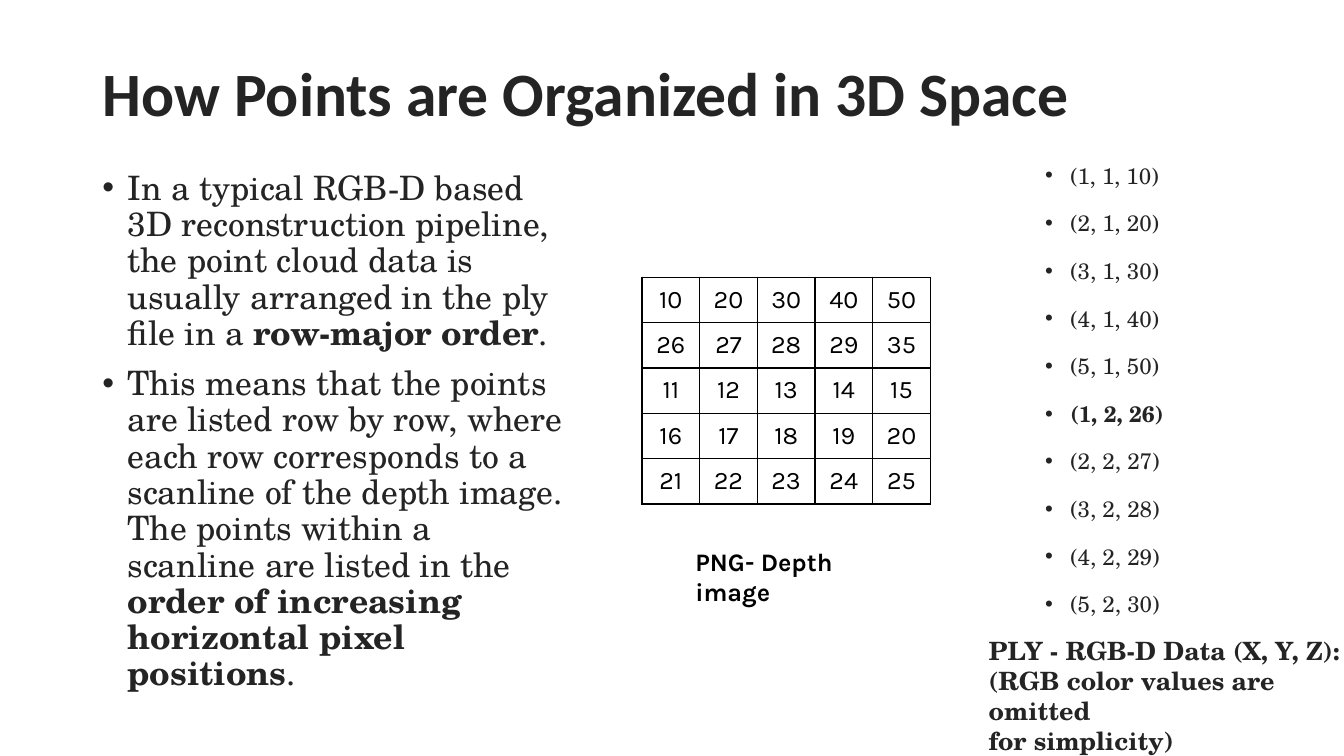
from lxml.etree import SubElement
from pptx import Presentation
from pptx.dml.color import RGBColor
from pptx.enum.text import MSO_ANCHOR as Anchor, PP_ALIGN as Align
from pptx.oxml.ns import qn
from pptx.util import Pt

COLORS = {"ink": "242424", "black": "000000"}
HEAD, SERIF, SANS = "Calibri", "TeX Gyre Schola", "Karla"

ORDER_NOTES = [
    [("In a typical RGB-D based 3D reconstruction pipeline, the point cloud data "
      "is usually arranged in the ply file in a ", False),
     ("row-major order", True), (".", False)],
    [("This means that the points are listed row by row, where each row "
      "corresponds to a scanline of the depth image. The points within a "
      "scanline are listed in the ", False),
     ("order of increasing horizontal pixel positions", True), (".", False)],
]
DEPTHS = [
    [10, 20, 30, 40, 50],
    [26, 27, 28, 29, 35],
    [11, 12, 13, 14, 15],
    [16, 17, 18, 19, 20],
    [21, 22, 23, 24, 25],
]
POINTS = ["(1, 1, 10)", "(2, 1, 20)", "(3, 1, 30)", "(4, 1, 40)", "(5, 1, 50)",
          "(1, 2, 26)", "(2, 2, 27)", "(3, 2, 28)", "(4, 2, 29)", "(5, 2, 30)"]
ROW_START = "(1, 2, 26)"
PLY_CAPTION = ["PLY - RGB-D Data (X, Y, Z):", "(RGB color values are omitted",
               "for simplicity)"]


def style(span, face, size, color, bold=False):
    span.font.name = face
    span.font.size = Pt(size)
    span.font.bold = bold
    span.font.color.rgb = RGBColor.from_string(COLORS[color])


def add_bullet(para):
    props = para._p.get_or_add_pPr()
    props.set("marL", str(Pt(18)))
    props.set("indent", str(-Pt(18)))
    SubElement(props, qn("a:buFont")).set("typeface", "Arial")
    SubElement(props, qn("a:buChar")).set("char", "•")


def add_text(page, frame, paragraphs, face, size, color, bullets=False, spacing=None):
    box = page.shapes.add_textbox(*map(Pt, frame))
    text = box.text_frame
    text.word_wrap = True
    for index, spans in enumerate(paragraphs):
        para = text.add_paragraph() if index else text.paragraphs[0]
        if bullets:
            add_bullet(para)
            if index:
                para.space_before = Pt(10)
        if spacing:
            para.line_spacing = spacing
        for words, bold in spans:
            span = para.add_run()
            span.text = words
            style(span, face, size, color, bold)


def set_title(page, words):
    title = page.shapes.title
    title.left, title.top, title.width, title.height = map(Pt, (66, 28.8, 828, 104.4))
    title.text_frame.text = words
    title.text_frame.vertical_anchor = Anchor.MIDDLE
    para = title.text_frame.paragraphs[0]
    para.alignment = Align.LEFT
    para.line_spacing = Pt(22.5)
    style(para.runs[0], HEAD, 44, "ink", True)


def add_borders(cell):
    props = cell._tc.get_or_add_tcPr()
    for position, side in enumerate(("lnL", "lnR", "lnT", "lnB")):
        line = props.makeelement(qn(f"a:{side}"), {"w": str(Pt(1))})
        fill = SubElement(line, qn("a:solidFill"))
        SubElement(fill, qn("a:srgbClr")).set("val", COLORS["black"])
        props.insert(position, line)


def add_depth_table(page, left, top, column_width, row_height):
    rows, columns = len(DEPTHS), len(DEPTHS[0])
    table = page.shapes.add_table(rows, columns, Pt(left), Pt(top),
                                  Pt(column_width * columns),
                                  Pt(row_height * rows)).table
    table.first_row = table.horz_banding = False
    for row, depths in enumerate(DEPTHS):
        for column, depth in enumerate(depths):
            cell = table.cell(row, column)
            cell.fill.background()
            add_borders(cell)
            cell.vertical_anchor = Anchor.MIDDLE
            cell.text_frame.text = str(depth)
            para = cell.text_frame.paragraphs[0]
            para.alignment = Align.CENTER
            style(para.runs[0], SANS, 18, "black")


def main():
    deck = Presentation()
    deck.slide_width, deck.slide_height = Pt(960), Pt(540)
    page = deck.slides.add_slide(deck.slide_layouts[5])
    set_title(page, "How Points are Organized in 3D Space")
    add_text(page, (66, 118.8, 345, 342.7), ORDER_NOTES, SERIF, 24, "ink",
             bullets=True, spacing=0.9)
    add_depth_table(page, 458.6, 198, 41.2, 32.4)
    add_text(page, (489.6, 386.6, 165.6, 28.8), [[("PNG- Depth image", True)]],
             SANS, 18, "black")
    add_text(page, (739.4, 107.3, 118.8, 342.7),
             [[(point, point == ROW_START)] for point in POINTS],
             SERIF, 16, "ink", bullets=True, spacing=Pt(24))
    add_text(page, (699.1, 450, 277.2, 72.7), [[(line, True)] for line in PLY_CAPTION],
             SERIF, 18, "ink")
    deck.save("out.pptx")


if __name__ == "__main__":
    main()
